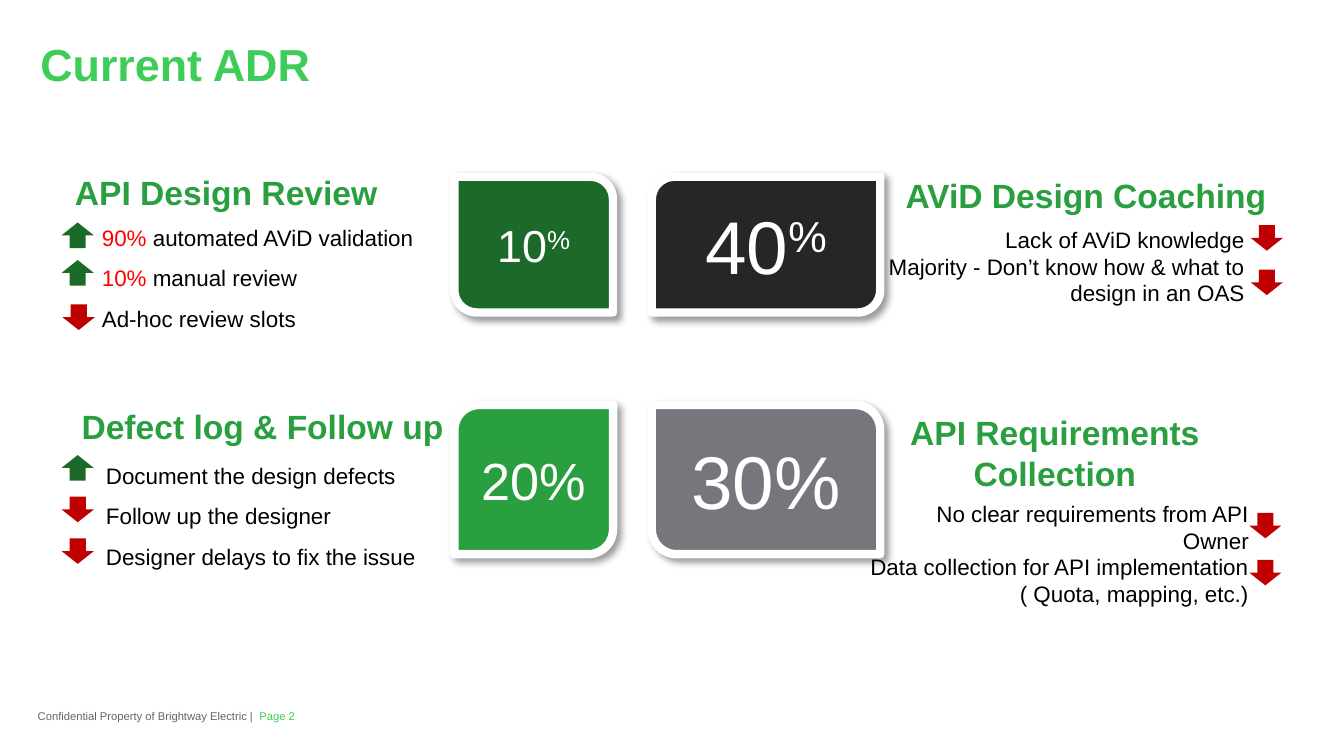
from dataclasses import dataclass

import lxml.etree
import pptx
import pptx.dml.color
import pptx.enum.shapes
import pptx.enum.text
import pptx.oxml.ns
import pptx.util

Pt = pptx.util.Pt
ALIGN = pptx.enum.text.PP_ALIGN
ANCHOR = pptx.enum.text.MSO_ANCHOR
SHAPES = pptx.enum.shapes.MSO_SHAPE

LIME, GREEN, DARK_GREEN = "3DCD58", "299F3F", "1B6A2A"
RED, DARK_RED, BLACK, WHITE = "FF0000", "C00000", "000000", "FFFFFF"
UP, DOWN = 270, 90


@dataclass
class Run:
    text: str
    size: float
    color: str = BLACK
    bold: bool = False
    superscript: bool = False


@dataclass
class Line:
    runs: list[Run]
    align: ALIGN = ALIGN.LEFT
    spacing: float = 1.0


@dataclass
class TextBlock:
    left: float
    top: float
    width: float
    height: float
    lines: list[Line]


@dataclass
class Tile:
    column: int
    row: int
    color: str
    runs: list[Run]


@dataclass
class Arrow:
    left: float
    top: float
    direction: int


def rgb(color: str) -> pptx.dml.color.RGBColor:
    return pptx.dml.color.RGBColor.from_string(color)


def write_lines(frame, lines: list[Line]) -> None:
    for index, line in enumerate(lines):
        paragraph = frame.paragraphs[0] if index == 0 else frame.add_paragraph()
        paragraph.alignment = line.align
        paragraph.line_spacing = line.spacing
        for item in line.runs:
            run = paragraph.add_run()
            run.text = item.text
            run.font.name = "Arial"
            run.font.size = Pt(item.size)
            run.font.bold = item.bold
            run.font.color.rgb = rgb(item.color)
            if item.superscript:
                run.font._element.set("baseline", "30000")


def set_margins(frame, left: float = 0, top: float = 0) -> None:
    frame.margin_left, frame.margin_top = Pt(left), Pt(top)
    frame.margin_right = frame.margin_bottom = 0


def add_text(slide, block: TextBlock):
    box = slide.shapes.add_textbox(
        Pt(block.left), Pt(block.top), Pt(block.width), Pt(block.height))
    box.text_frame.word_wrap = True
    box.text_frame.auto_size = pptx.enum.text.MSO_AUTO_SIZE.SHAPE_TO_FIT_TEXT
    write_lines(box.text_frame, block.lines)
    return box


def add_tile_shadow(shape) -> None:
    qn = pptx.oxml.ns.qn
    effects = shape._element.spPr.find(qn("a:effectLst"))
    shadow = lxml.etree.SubElement(
        effects, qn("a:outerShdw"), blurRad=str(Pt(4)), dist=str(Pt(3)),
        dir=str(45 * 60000), algn="tl", rotWithShape="0")
    color = lxml.etree.SubElement(shadow, qn("a:srgbClr"), val=BLACK)
    lxml.etree.SubElement(color, qn("a:alpha"), val="40000")


def add_filled_shape(slide, kind, left: float, top: float, width: float,
                     height: float, color: str):
    shape = slide.shapes.add_shape(kind, Pt(left), Pt(top), Pt(width), Pt(height))
    shape.shadow.inherit = False
    shape.fill.solid()
    shape.fill.fore_color.rgb = rgb(color)
    shape.line.fill.background()
    return shape


def add_tile(slide, tile: Tile) -> None:
    left, width = ((243.4, 85), (349.2, 122.4))[tile.column]
    top, height = ((94.7, 72.7), (217, 79.9))[tile.row]
    shape = add_filled_shape(
        slide, SHAPES.ROUND_2_DIAG_RECTANGLE, left, top, width, height, tile.color)
    shape.line.color.rgb = rgb(WHITE)
    shape.line.width = Pt(4.5)
    add_tile_shadow(shape)
    # Square corners point towards the outer diagonal in matching cells
    if tile.column == tile.row:
        shape._element.spPr.xfrm.set("flipH", "1")
    shape.text_frame.vertical_anchor = ANCHOR.MIDDLE
    write_lines(shape.text_frame, [Line(tile.runs, ALIGN.CENTER)])


def add_arrow(slide, arrow: Arrow) -> None:
    color = DARK_GREEN if arrow.direction == UP else DARK_RED
    shape = add_filled_shape(
        slide, SHAPES.RIGHT_ARROW, arrow.left, arrow.top, 13.7, 17.3, color)
    shape.rotation = arrow.direction


def heading(text: str, align: ALIGN) -> Line:
    return Line([Run(text, 18, GREEN, bold=True)], align)


def item(text: str, align: ALIGN = ALIGN.LEFT, spacing: float = 1.5,
         share: str = "") -> Line:
    highlight = [Run(share, 12, RED)] if share else []
    return Line(highlight + [Run(text, 12)], align, spacing)


TILES = [
    Tile(1, 0, "262626", [Run("40", 40, WHITE), Run("%", 40, WHITE, superscript=True)]),
    Tile(0, 1, GREEN, [Run("20%", 28, WHITE)]),
    Tile(0, 0, DARK_GREEN, [Run("10", 24, WHITE), Run("%", 24, WHITE, superscript=True)]),
    Tile(1, 1, "76777C", [Run("30%", 40, WHITE)]),
]

TEXTS = [
    # Headings
    TextBlock(455.8, 90, 229.7, 28.8, [heading("AViD Design Coaching", ALIGN.RIGHT)]),
    TextBlock(21.6, 213.8, 223.2, 28.8, [heading("Defect log & Follow up", ALIGN.RIGHT)]),
    TextBlock(480.2, 217.4, 169.9, 51.1, [
        heading("API Requirements", ALIGN.CENTER), heading("Collection", ALIGN.CENTER)]),
    TextBlock(33.1, 88.6, 211.7, 28.8, [heading("API Design Review", ALIGN.LEFT)]),
    # Lists
    TextBlock(47.5, 109.4, 242.6, 69.8, [
        item(" automated AViD validation", share="90%"),
        item(" manual review", share="10%"),
        item("Ad-hoc review slots")]),
    TextBlock(49.7, 236.9, 242.6, 69.8, [
        item("Document the design defects"),
        item("Follow up the designer"),
        item("Designer delays to fix the issue")]),
    TextBlock(457.9, 110.2, 216, 58.3, [
        item("Lack of AViD knowledge", ALIGN.RIGHT),
        item("Majority - Don’t know how & what to design in an OAS", ALIGN.RIGHT, 1)]),
    TextBlock(457.9, 264.2, 218.2, 65.5, [
        item("No clear requirements from API Owner", ALIGN.RIGHT, 1),
        item("Data collection for API implementation ( Quota, mapping, etc.)",
             ALIGN.RIGHT, 1)]),
]

ARROWS = [
    Arrow(34.8, 117.4, UP), Arrow(34.8, 137.5, UP), Arrow(35.3, 161.3, DOWN),
    Arrow(34.8, 242, UP), Arrow(34.8, 264.3, DOWN), Arrow(34.8, 286.6, DOWN),
    Arrow(671.8, 118.8, DOWN), Arrow(671.8, 142.6, DOWN),
    Arrow(671, 272.9, DOWN), Arrow(671, 298.1, DOWN),
]

FOOTERS = [
    TextBlock(139, 380.2, 41, 7.2, [Line([Run("Page 2", 6, LIME)])]),
    TextBlock(20.2, 380.2, 118.8, 7.2, [
        Line([Run("Confidential Property of Brightway Electric |", 6, "626469")])]),
]

presentation = pptx.Presentation()
presentation.slide_width, presentation.slide_height = Pt(720), Pt(405)
slide = presentation.slides.add_slide(presentation.slide_layouts[5])

# Title
title = slide.shapes.title
title.left, title.top, title.width, title.height = Pt(20.2), Pt(17.3), Pt(681), Pt(28.8)
title.text_frame.auto_size = pptx.enum.text.MSO_AUTO_SIZE.NONE
title.text_frame.vertical_anchor = ANCHOR.TOP
set_margins(title.text_frame, left=1.4, top=2.5)
write_lines(title.text_frame, [Line([Run("Current ADR", 24, LIME, bold=True)])])

# Footer
for footer in FOOTERS:
    footer_box = add_text(slide, footer)
    footer_box.text_frame.vertical_anchor = ANCHOR.MIDDLE
    set_margins(footer_box.text_frame)

# Percentage tiles, their texts and the trend arrows
for tile in TILES:
    add_tile(slide, tile)
for block in TEXTS:
    add_text(slide, block)
for arrow in ARROWS:
    add_arrow(slide, arrow)

presentation.save("out.pptx")
